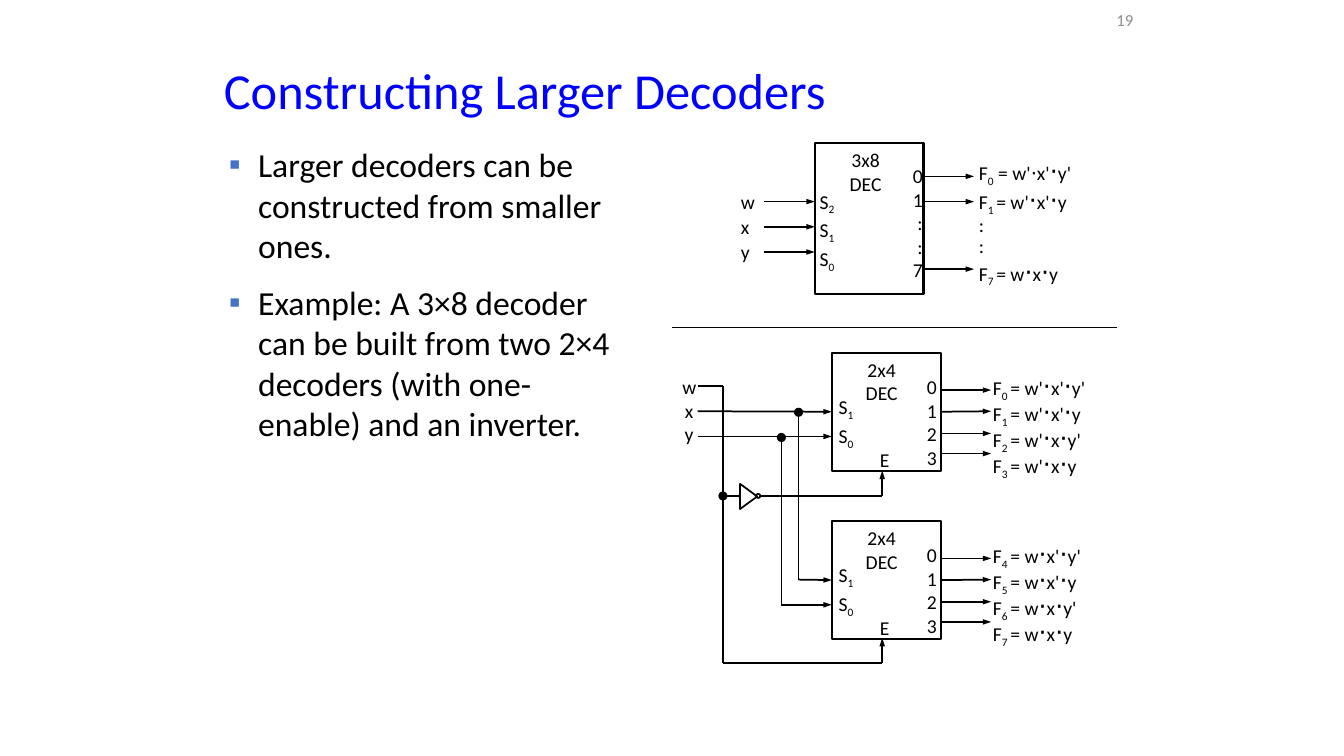
from dataclasses import dataclass

from lxml import etree
from pptx import Presentation
from pptx import util as u
from pptx.dml import color
from pptx.enum import shapes, text
from pptx.oxml import ns


@dataclass(frozen=True)
class Theme:
    font: str = "Calibri"
    ink: str = "000000"
    title: str = "0000FF"
    bullet: str = "4472C4"
    muted: str = "8C8C8C"
    title_size: int = 36
    body_size: int = 24
    dot_size: int = 18
    label_size: int = 14
    number_size: int = 12
    box_line: float = 1.5
    wire_line: float = 1.25
    thin_line: float = 0.75


@dataclass(frozen=True)
class Box:
    left: float
    top: float
    width: float
    height: float

    def inner(self, left, top, width, height):
        return Box(self.left + left, self.top + top, width, height)

    def point(self, x, y):
        return self.left + x, self.top + y

    def lengths(self):
        return [u.Inches(v) for v in (self.left, self.top, self.width, self.height)]


THEME = Theme()
SHAPE = shapes.MSO_SHAPE
ALIGN = text.PP_ALIGN


def rgb(value):
    return color.RGBColor.from_string(value)


def style(span, size, ink=THEME.ink):
    span.font.name = THEME.font
    span.font.size = u.Pt(size)
    span.font.color.rgb = rgb(ink)


def add_span(para, words, size, subscript=False):
    span = para.add_run()
    span.text = words
    style(span, size)
    if subscript:
        span.font._element.set("baseline", "-25000")


def write_formula(para, formula):
    for index, part in enumerate(formula.replace("}", "{").split("{")):
        if index % 2:
            add_span(para, part, THEME.label_size, True)
            continue
        for position, piece in enumerate(part.split("*")):
            if position:
                add_span(para, "⋅", THEME.dot_size)
            if piece:
                add_span(para, piece, THEME.label_size)


def add_label(page, box, lines, align=ALIGN.LEFT, before=0, spacing=None, wrap=True):
    frame = page.shapes.add_textbox(*box.lengths()).text_frame
    frame.word_wrap = wrap
    for index, line in enumerate(lines):
        para = frame.add_paragraph() if index else frame.paragraphs[0]
        para.alignment = align
        para.space_before = u.Pt(before)
        if spacing:
            para.line_spacing = spacing
        write_formula(para, line)


def add_outline(page, kind, box, weight, fill=None, rotation=0):
    shape = page.shapes.add_shape(kind, *box.lengths())
    shape.shadow.inherit = False
    shape.rotation = rotation
    shape.line.color.rgb = rgb(THEME.ink)
    shape.line.width = u.Pt(weight)
    if fill:
        shape.fill.solid()
        shape.fill.fore_color.rgb = rgb(fill)
    else:
        shape.fill.background()
    return shape


def add_wire(page, start, end, arrow=False, weight=THEME.wire_line):
    wire = page.shapes.add_connector(
        shapes.MSO_CONNECTOR.STRAIGHT, *[u.Inches(v) for v in (*start, *end)])
    wire.line.color.rgb = rgb(THEME.ink)
    wire.line.width = u.Pt(weight)
    if arrow:
        etree.SubElement(wire.line._get_or_add_ln(), ns.qn("a:tailEnd"),
                         type="triangle", w="sm", len="med")
    etree.SubElement(wire._element.spPr, ns.qn("a:effectLst"))
    return wire


def add_title(page, box):
    title = page.shapes.title
    title.left, title.top, title.width, title.height = box.lengths()
    frame = title.text_frame
    frame.text = "Constructing Larger Decoders"
    frame.auto_size = text.MSO_AUTO_SIZE.NONE
    frame.vertical_anchor = text.MSO_ANCHOR.MIDDLE
    para = frame.paragraphs[0]
    para.alignment = ALIGN.LEFT
    para.line_spacing = 0.9
    style(para.runs[0], THEME.title_size, THEME.title)


def add_body(page, box):
    body = page.placeholders[1]
    body.left, body.top, body.width, body.height = box.lengths()
    frame = body.text_frame
    frame.text = ("Larger decoders can be constructed from smaller ones.\n"
                  "Example: A 3×8 decoder can be built from two 2×4 decoders "
                  "(with one-enable) and an inverter.")
    frame.auto_size = text.MSO_AUTO_SIZE.NONE
    for para, share in zip(frame.paragraphs, (0.2, 0.5)):
        para.space_before = u.Pt(THEME.body_size * share)
        style(para.runs[0], THEME.body_size)
        props = para._p.get_or_add_pPr()
        props.set("marL", str(u.Inches(0.29)))
        props.set("indent", str(-u.Inches(0.29)))
        tint = etree.SubElement(props, ns.qn("a:buClr"))
        etree.SubElement(tint, ns.qn("a:srgbClr"), val=THEME.bullet)
        etree.SubElement(props, ns.qn("a:buChar"), char="▪")


def add_page_number(page, box):
    frame = page.shapes.add_textbox(*box.lengths()).text_frame
    frame.word_wrap = True
    frame.vertical_anchor = text.MSO_ANCHOR.MIDDLE
    frame.text = "19"
    frame.paragraphs[0].alignment = ALIGN.RIGHT
    style(frame.paragraphs[0].runs[0], THEME.number_size, THEME.muted)


def add_large_decoder(page, box):
    add_outline(page, SHAPE.RECTANGLE, box, THEME.box_line)
    add_label(page, box.inner(0.09, 0, 0.83, 0.57), ["3x8", "DEC"], ALIGN.CENTER)
    add_label(page, box.inner(-0.05, 0.41, 0.47, 0.85), ["S{2}", "S{1}", "S{0}"], before=1.4)
    add_label(page, box.inner(-0.83, 0.41, 0.33, 0.85), "wxy", before=1.4)
    for y in (0.58, 0.83, 1.08):
        add_wire(page, box.point(-0.5, y), box.point(0, y), True)
    for y in (0.33, 0.58, 1.25):
        add_wire(page, box.point(box.width, y), box.point(box.width + 0.5, y), True)
    add_label(page, box.inner(0.75, 0.16, 0.42, 1.28), "01::7", ALIGN.RIGHT)
    add_label(page, box.inner(1.53, 0.09, 1.42, 1.33),
              ["F{0} = w'⋅x'*y'", "F{1 }= w'*x'*y", ":", ":", "F{7 }= w*x*y"],
              spacing=0.9, wrap=False)


def add_small_decoder(page, box, first, w_term, input_starts):
    block = add_outline(page, SHAPE.RECTANGLE, box, THEME.box_line)
    add_label(page, box.inner(0.08, 0, 0.83, 0.57), ["2x4", "DEC"], ALIGN.CENTER)
    add_label(page, box.inner(-0.03, 0.37, 0.47, 0.6), ["S{1}", "S{0}"], before=1.4)
    add_label(page, box.inner(0.72, 0.17, 0.42, 1.04), "0123", ALIGN.RIGHT)
    add_label(page, box.inner(0.36, 0.89, 0.33, 0.33), "E", ALIGN.CENTER)
    products = ["x'*y'", "x'*y", "x*y'", "x*y"]
    add_label(page, box.inner(1.5, 0.17, 1.26, 1.07),
              [f"F{{{first + i} }}= {w_term}*{term}" for i, term in enumerate(products)],
              spacing=0.8, wrap=False)
    inputs = [add_wire(page, (start, box.top + y), box.point(0, y), True)
              for start, y in zip(input_starts, (0.58, 0.83))]
    inputs[0].end_connect(block, 1)
    outputs = [add_wire(page, box.point(box.width, y), box.point(box.width + 0.5, y), True)
               for y in (0.37, 0.58, 0.8, 1)]
    outputs[1].begin_connect(block, 3)


def add_cascade(page, box):
    size = (1.08, 1.17)
    w_x, y_x, x_x, enable_x = 0.5, 1.08, 1.25, 2.08
    add_small_decoder(page, box.inner(1.58, 0, *size), 0, "w'", [box.left + 0.25] * 2)
    add_small_decoder(page, box.inner(1.58, 1.67, *size), 4, "w",
                      [box.left + x_x, box.left + y_x])
    wires = [
        ((0.25, 0.33), (w_x, 0.33), False),
        ((w_x, 0.33), (w_x, 3.08), False),
        ((x_x, 0.58), (x_x, 2.25), False),
        ((y_x, 0.83), (y_x, 2.5), False),
        ((w_x, 1.42), (0.66, 1.42), False),
        ((0.87, 1.42), (enable_x, 1.42), False),
        ((enable_x, 1.42), (enable_x, 1.17), True),
        ((w_x, 3.08), (enable_x, 3.08), False),
        ((enable_x, 3.08), (enable_x, 2.83), True),
    ]
    for start, end, arrow in wires:
        add_wire(page, box.point(*start), box.point(*end), arrow)
    add_outline(page, SHAPE.FLOWCHART_MERGE, box.inner(0.63, 1.34, 0.25, 0.17),
                THEME.wire_line, rotation=270)
    add_outline(page, SHAPE.OVAL, box.inner(0.83, 1.4, 0.04, 0.04), THEME.wire_line)
    for x, y in ((w_x, 1.42), (y_x, 0.84), (x_x, 0.59)):
        add_outline(page, SHAPE.OVAL, box.inner(x - 0.04, y - 0.04, 0.08, 0.08),
                    THEME.thin_line, THEME.ink)
    add_label(page, box.inner(0, 0.17, 0.33, 0.81), "wxy", ALIGN.CENTER)


def main():
    deck = Presentation()
    deck.slide_width, deck.slide_height = u.Inches(13.33), u.Inches(7.5)
    page = deck.slides.add_slide(deck.slide_layouts[1])
    add_title(page, Box(2.12, 0.57, 9.21, 0.7))
    add_page_number(page, Box(10.39, 0.02, 0.95, 0.36))
    add_body(page, Box(2.17, 1.38, 4.17, 5.54))
    add_large_decoder(page, Box(8.08, 1.42, 1.08, 1.5))
    add_cascade(page, Box(6.67, 3.5, 4.41, 3.08))
    add_wire(page, (6.67, 3.25), (11.08, 3.25), weight=THEME.thin_line)
    deck.save("out.pptx")


if __name__ == "__main__":
    main()
